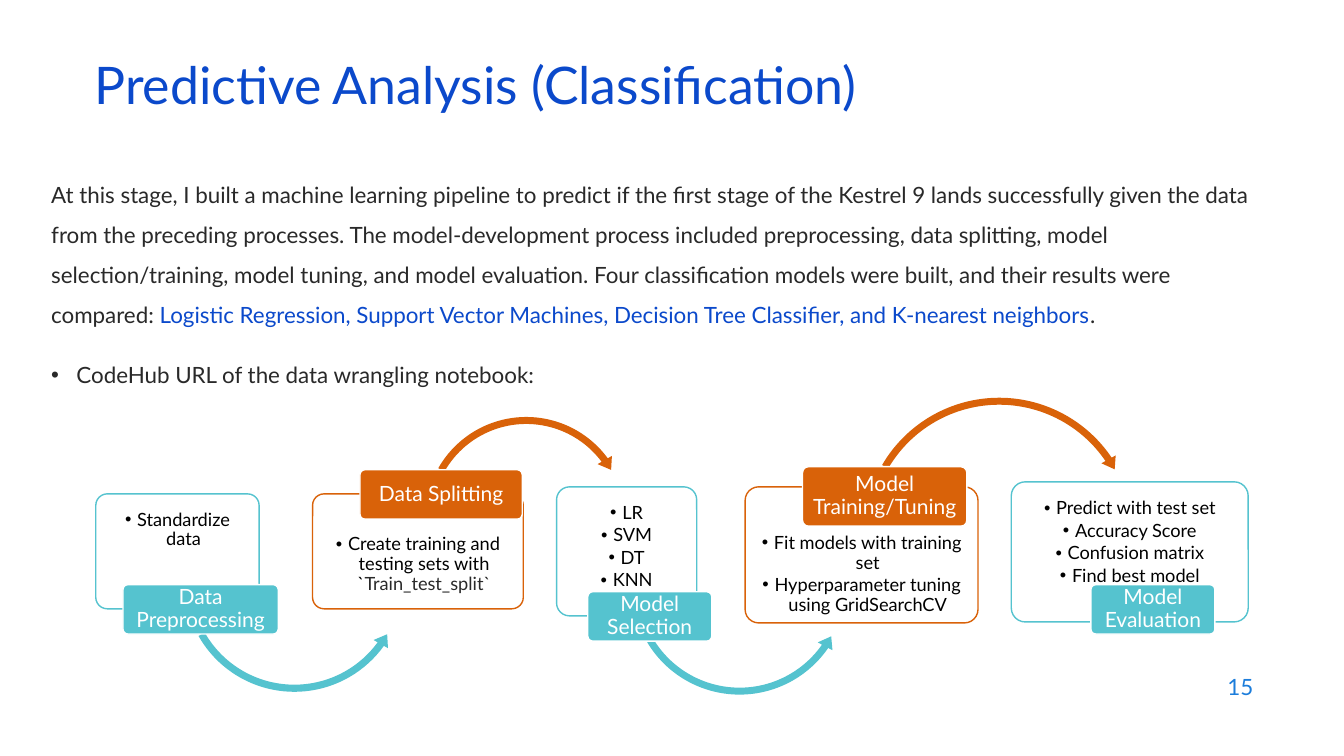
from lxml.etree import SubElement
from pptx import Presentation
from pptx.dml.color import RGBColor
from pptx.enum.shapes import MSO_SHAPE as Preset
from pptx.enum.text import MSO_ANCHOR as Anchor, PP_ALIGN as Align
from pptx.oxml.ns import qn
from pptx.util import Inches, Pt

BLUE = RGBColor(0x0B, 0x49, 0xCB)
NUMBER_BLUE = RGBColor(0x1C, 0x7D, 0xDB)
DARK = RGBColor(0x29, 0x29, 0x29)
BLACK = RGBColor(0, 0, 0)
WHITE = RGBColor(255, 255, 255)
TEAL = RGBColor(0x55, 0xC3, 0xCF)
ORANGE = RGBColor(0xD9, 0x62, 0x09)
FONT = "Lato"

TITLE = "Predictive Analysis (Classification)"
PAGE_NUMBER = "15"
INTRO = [
    ("At this stage, I built a machine learning pipeline to predict if the first stage of "
     "the Kestrel 9 lands successfully given the data from the preceding processes. The "
     "model-development process included preprocessing, data splitting, model "
     "selection/training, model tuning, and model evaluation. Four classification models "
     "were built, and their results were compared: ", DARK),
    ("Logistic Regression, Support Vector Machines, Decision Tree Classifier, and "
     "K-nearest neighbors", BLUE),
    (".", DARK),
]
NOTEBOOK = [("CodeHub URL of the data wrangling notebook:", DARK)]

# label, colour, card box, label box, bullets (each a list of runs)
STAGES = [
    ("Data Preprocessing", TEAL, (0.95, 4.9, 1.62, 1.14), (1.22, 5.8, 1.54, 0.49),
     [[("Standardize data", BLACK)]]),
    ("Data Splitting", ORANGE, (3.1, 4.9, 2.09, 1.14), (3.57, 4.66, 1.61, 0.49),
     [[("Create training and testing sets with `", BLACK), ("Train_test_split`", DARK)]]),
    ("Model Selection", TEAL, (5.52, 4.83, 1.39, 1.28), (5.83, 5.87, 1.23, 0.49),
     [[(name, BLACK)] for name in ("LR", "SVM", "DT", "KNN")]),
    ("Model Training/Tuning", ORANGE, (7.39, 4.83, 2.31, 1.35), (7.96, 4.63, 1.63, 0.59),
     [[("Fit models with training set", BLACK)],
      [("Hyperparameter tuning using GridSearchCV", BLACK)]]),
    ("Model Evaluation", TEAL, (10.03, 4.78, 2.35, 1.39), (10.82, 5.8, 1.23, 0.49),
     [[(name, BLACK)] for name in ("Predict with test set", "Accuracy Score",
                                   "Confusion matrix", "Find best model")]),
]

# One arrow from each stage to the next: left, top, diameter, adjustments
ARROWS = [
    (1.78, 4.63, 2.28, (0.031, 3.78, 21.536, 90.245, 0.036)),
    (4.17, 4.09, 2.1, (0.033, 4.128, 194.107, 125.745, 0.039)),
    (6.22, 4.71, 2.23, (0.031, 3.873, 20.809, 89.426, 0.037)),
    (8.52, 3.9, 2.78, (0.025, 3.057, 195.577, 126.145, 0.029)),
]


def set_bullet(paragraph, indent):
    properties = paragraph._p.get_or_add_pPr()
    properties.set("marL", str(Inches(indent)))
    properties.set("indent", str(-Inches(indent)))
    SubElement(properties, qn("a:buFont"), typeface="Arial")
    SubElement(properties, qn("a:buChar"), char="•")


def write(frame, paragraphs, size, spacing, align=Align.LEFT, before=0, after=0):
    """Fill a frame with paragraphs given as (runs, bullet indent or 0)."""
    frame.word_wrap = True
    for index, (runs, indent) in enumerate(paragraphs):
        paragraph = frame.add_paragraph() if index else frame.paragraphs[0]
        if indent:
            set_bullet(paragraph, indent)
        paragraph.alignment = align
        paragraph.line_spacing = spacing
        paragraph.space_before = Pt(before if index else 0)
        paragraph.space_after = Pt(after)
        for text, color in runs:
            run = paragraph.add_run()
            run.text = text
            run.font.name = FONT
            run.font.size = Pt(size)
            run.font.color.rgb = color


def add_text(slide, box, anchor, *args, **options):
    frame = slide.shapes.add_textbox(*map(Inches, box)).text_frame
    frame.vertical_anchor = anchor
    write(frame, *args, **options)


def add_preset(slide, preset, box, adjustments, fill=None, line=None):
    shape = slide.shapes.add_shape(preset, *map(Inches, box))
    shape.shadow.inherit = False
    for index, value in enumerate(adjustments):
        shape.adjustments[index] = value
    if fill is None:
        shape.fill.background()
    else:
        shape.fill.solid()
        shape.fill.fore_color.rgb = fill
    if line is None:
        shape.line.fill.background()
    else:
        shape.line.color.rgb = line
        shape.line.width = Pt(1)
    return shape


def set_margins(frame, side, top, bottom):
    frame.margin_left = frame.margin_right = Inches(side)
    frame.margin_top, frame.margin_bottom = Inches(top), Inches(bottom)


def add_card(slide, color, box, bullets, top_margin):
    frame = add_preset(slide, Preset.ROUNDED_RECTANGLE, box, [0.1], line=color).text_frame
    set_margins(frame, 0.12, top_margin, 0.12)
    frame.vertical_anchor = Anchor.TOP
    write(frame, [(runs, 0.12) for runs in bullets], 13, 0.9, Align.CENTER, after=2)


def add_label(slide, text, color, box):
    frame = add_preset(slide, Preset.ROUNDED_RECTANGLE, box, [0.1], color, WHITE).text_frame
    set_margins(frame, 0.03, 0.02, 0.02)
    frame.vertical_anchor = Anchor.MIDDLE
    write(frame, [([(text, WHITE)], 0)], 15, 0.9, Align.CENTER)


def main():
    presentation = Presentation()
    presentation.slide_width = Inches(13.33)
    presentation.slide_height = Inches(7.5)
    slide = presentation.slides.add_slide(presentation.slide_layouts[6])

    add_text(slide, (9.53, 6.59, 3, 0.44), Anchor.MIDDLE,
             [([(PAGE_NUMBER, NUMBER_BLUE)], 0)], 16, 1, Align.RIGHT)
    add_text(slide, (0.84, 0.59, 11.5, 0.6), Anchor.MIDDLE, [([(TITLE, BLUE)], 0)], 37, 0.8)
    add_text(slide, (0.41, 1.61, 12.21, 5.89), Anchor.TOP,
             [(INTRO, 0), (NOTEBOOK, 0.25)], 16, 1.5, before=14)

    for index, (label, color, card_box, label_box, bullets) in enumerate(STAGES):
        label_on_top = label_box[1] < card_box[1]
        top_margin = 0.13 + (label_box[3] / 2 if label_on_top else 0)
        add_card(slide, color, card_box, bullets, top_margin)
        if index < len(ARROWS):
            left, top, diameter, adjustments = ARROWS[index]
            preset = Preset.CIRCULAR_ARROW if label_on_top else Preset.LEFT_CIRCULAR_ARROW
            add_preset(slide, preset, (left, top, diameter, diameter), adjustments, color)
        add_label(slide, label, color, label_box)

    presentation.save("out.pptx")


if __name__ == "__main__":
    main()
